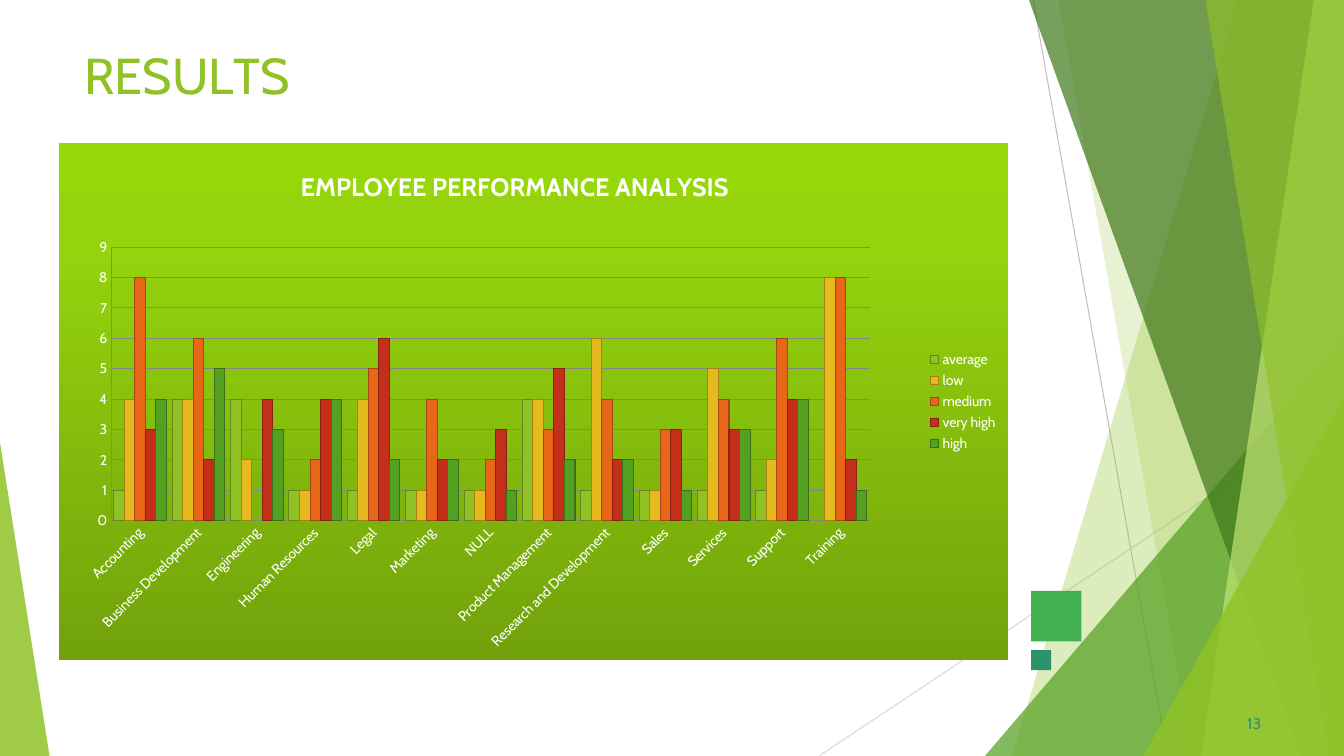
from dataclasses import dataclass

from lxml.etree import SubElement
from pptx import Presentation
from pptx.chart.data import CategoryChartData
from pptx.dml.color import RGBColor
from pptx.enum.chart import XL_CHART_TYPE, XL_LEGEND_POSITION, XL_TICK_MARK
from pptx.enum.shapes import MSO_CONNECTOR, MSO_SHAPE
from pptx.oxml import parse_xml
from pptx.oxml.ns import nsdecls, qn
from pptx.util import Inches, Pt

COLUMNS, ROWS = 160, 90
CELL = Inches(1) / 12
FONT = "Cabin"
COLORS = {
    "lime": "90C226", "green": "54A021", "forest": "3F7819", "pale": "C0E474",
    "gold": "E6B91E", "orange": "E76618", "red": "C42F1A",
    "emerald": "42AF51", "teal": "2D936B", "white": "FFFFFF",
    "line": "BFBFBF", "faint line": "D9D9D9", "grid": "868686",
    "chart bottom": "72A20B", "chart upper": "94D30E", "chart top": "96D70A",
}


@dataclass
class Line:
    start: tuple[float, float]
    end: tuple[float, float]
    color: str


@dataclass
class Band:
    top_left: float
    bottom_left: float
    color: str
    opacity: int


@dataclass
class Block:
    kind: MSO_SHAPE
    box: tuple[float, float, float, float]
    color: str
    opacity: int = 100
    apex: float | None = None


@dataclass
class Series:
    name: str
    color: str
    order: int
    values: tuple[int | None, ...]


TRIANGLE, RECTANGLE = MSO_SHAPE.ISOSCELES_TRIANGLE, MSO_SHAPE.RECTANGLE
DECORATIONS = (
    Line((123, 0), (139, 90), "line"),
    Line((160, 48.4), (97.5, 90), "faint line"),
    Band(147.4, 120.5, "lime", 30),
    Band(126, 142, "lime", 20),
    Block(TRIANGLE, (117.25, 40, 42.75, 50), "green", 72, 1),
    Band(122.5, 154.9, "forest", 70),
    Band(156.4, 143, "pale", 70),
    Band(143.5, 158.2, "lime", 65),
    Block(TRIANGLE, (136.1, 47.2, 23.9, 42.8), "lime", 80, 1),
    Block(TRIANGLE, (0, 52.7, 5.9, 37.3), "lime", 85, 0),
    Block(RECTANGLE, (122.75, 70.35, 6, 6), "emerald"),
    Block(RECTANGLE, (122.75, 77.4, 2.4, 2.4), "teal"),
)
DEPARTMENTS = (
    "Accounting", "Business Development", "Engineering", "Human Resources",
    "Legal", "Marketing", "NULL", "Product Management",
    "Research and Development", "Sales", "Services", "Support", "Training",
)
RATINGS = (
    Series("average", "lime", 0, (1, 4, 4, 1, 1, 1, 1, 4, 1, 1, 1, 1, None)),
    Series("low", "gold", 2, (4, 4, 2, 1, 4, 1, 1, 4, 6, 1, 5, 2, 8)),
    Series("medium", "orange", 3, (8, 6, None, 2, 5, 4, 2, 3, 4, 3, 4, 6, 8)),
    Series("very high", "red", 4, (3, 2, 4, 4, 6, 2, 3, 5, 2, 3, 3, 4, 2)),
    Series("high", "green", 1, (4, 5, 3, 4, 2, 2, 1, 2, 2, 1, 3, 4, 1)),
)


def cells(*counts: float) -> list[int]:
    return [round(count * CELL) for count in counts]


def color(name: str) -> RGBColor:
    return RGBColor.from_string(COLORS[name])


def paint(shape, name: str, opacity: int) -> None:
    shape.shadow.inherit = False
    shape.fill.solid()
    shape.fill.fore_color.rgb = color(name)
    shape.line.fill.background()
    if opacity < 100:
        value = shape.fill._xPr.find(f".//{qn('a:srgbClr')}")
        SubElement(value, qn("a:alpha")).set("val", str(opacity * 1000))


def draw_line(slide, line: Line) -> None:
    connector = slide.shapes.add_connector(
        MSO_CONNECTOR.STRAIGHT, *cells(*line.start, *line.end))
    connector.line.color.rgb = color(line.color)
    connector.line.width = Pt(0.75)
    SubElement(connector._element.spPr, qn("a:effectLst"))


def draw_band(slide, band: Band) -> None:
    builder = slide.shapes.build_freeform(*cells(band.top_left, 0), scale=1.0)
    corners = ((COLUMNS, 0), (COLUMNS, ROWS), (band.bottom_left, ROWS))
    builder.add_line_segments([cells(*corner) for corner in corners], close=True)
    paint(builder.convert_to_shape(), band.color, band.opacity)


def draw_block(slide, block: Block) -> None:
    shape = slide.shapes.add_shape(block.kind, *cells(*block.box))
    if block.apex is not None:
        shape.adjustments[0] = block.apex
    paint(shape, block.color, block.opacity)


def add_text(slide, box: tuple, pieces: tuple, size: float, name: str,
             indent: float, space: float) -> None:
    text_frame = slide.shapes.add_textbox(*cells(*box)).text_frame
    text_frame.word_wrap = True
    text_frame.margin_left = text_frame.margin_right = text_frame.margin_bottom = 0
    text_frame.margin_top = Inches(0.01)
    paragraph = text_frame.paragraphs[0]
    paragraph.space_before = Pt(space)
    paragraph._p.get_or_add_pPr().set("marL", str(Inches(indent)))
    for text, spacing in pieces:
        run = paragraph.add_run()
        run.text = text
        run.font.name = FONT
        run.font.size = Pt(size)
        run.font.color.rgb = color(name)
        run._r.get_or_add_rPr().set("spc", str(round(spacing * 100)))


def set_layout(element, inner: bool = False, **shares: float) -> None:
    for previous in element.findall(qn("c:layout")):
        element.remove(previous)
    target = '<c:layoutTarget val="inner"/>' if inner else ""
    modes = "".join(f'<c:{axis}Mode val="edge"/>' for axis in "xy")
    values = "".join(f'<c:{key} val="{share}"/>' for key, share in shares.items())
    layout = parse_xml(f'<c:layout {nsdecls("c")}><c:manualLayout>{target}{modes}'
                       f'{values}</c:manualLayout></c:layout>')
    before = element.find(qn("c:legendPos"))
    if before is None:
        before = element.find(qn("c:tx"))
    if before is None:
        element.insert(0, layout)
    else:
        before.addnext(layout)


def fill_chart(chart) -> None:
    stops = ((0, "chart bottom"), (80, "chart upper"), (100, "chart top"))
    gradient = "".join(f'<a:gs pos="{share * 1000}"><a:srgbClr val="{COLORS[name]}"/></a:gs>'
                       for share, name in stops)
    chart._chartSpace.find(qn("c:chart")).addnext(parse_xml(
        f'<c:spPr {nsdecls("c", "a")}><a:gradFill><a:gsLst>{gradient}</a:gsLst>'
        '<a:lin ang="16200000" scaled="0"/></a:gradFill><a:ln><a:noFill/></a:ln></c:spPr>'))


def add_performance_chart(slide) -> None:
    data = CategoryChartData()
    data.categories = DEPARTMENTS
    for rating in RATINGS:
        data.add_series(rating.name, rating.values)
    chart = slide.shapes.add_chart(
        XL_CHART_TYPE.COLUMN_CLUSTERED, *cells(7, 17, 113.05, 61.6), data).chart
    chart.font.name = FONT
    chart.font.size = Pt(10)
    chart.font.color.rgb = color("white")
    fill_chart(chart)

    chart.has_title = True
    title = chart.chart_title
    title.include_in_layout = False
    title.text_frame.text = "EMPLOYEE PERFORMANCE ANALYSIS"
    font = title.text_frame.paragraphs[0].runs[0].font
    font.name, font.size, font.bold = FONT, Pt(18), True
    font.color.rgb = color("white")
    set_layout(title._element, x=0.25, y=0.043)

    chart.has_legend = True
    chart.legend.position = XL_LEGEND_POSITION.RIGHT
    chart.legend.include_in_layout = False
    set_layout(chart.legend._element, x=0.912, y=0.395, w=0.08, h=0.21)
    set_layout(chart._chartSpace.chart.plotArea, True, x=0.055, y=0.202, w=0.799, h=0.528)

    plot = chart.plots[0]
    plot.gap_width, plot.overlap, plot.vary_by_categories = 55, 0, False
    for series, rating in zip(list(plot.series), RATINGS):
        series.format.fill.solid()
        series.format.fill.fore_color.rgb = color(rating.color)
        series.format.line.color.rgb = color(rating.color)
        series.format.line.color.brightness = -0.3
        series.format.line.width = Pt(0.75)
        series._element.find(qn("c:order")).set("val", str(rating.order))

    values, categories = chart.value_axis, chart.category_axis
    values.minimum_scale, values.maximum_scale, values.major_unit = 0, 9, 1
    values.has_major_gridlines = True
    for axis in (values, categories):
        axis.major_tick_mark = axis.minor_tick_mark = XL_TICK_MARK.NONE
    for part in (values.major_gridlines, values, categories):
        part.format.line.color.rgb = color("grid")
        part.format.line.width = Pt(0.75)
    categories.tick_labels.font.size = Pt(10)
    categories._element.find(f"{qn('c:txPr')}/{qn('a:bodyPr')}").set("rot", "-2700000")


def main() -> None:
    presentation = Presentation()
    presentation.slide_width, presentation.slide_height = cells(COLUMNS, ROWS)
    slide = presentation.slides.add_slide(presentation.slide_layouts[6])
    painters = {Line: draw_line, Band: draw_band, Block: draw_block}
    for decoration in DECORATIONS:
        painters[type(decoration)](slide, decoration)
    title = (("R", 0), ("E", -0.4), ("S", 0.1), ("U", -0.3), ("L", -4), ("TS", 0))
    add_text(slide, (9.9, 5.1, 32, 10), title, 36, "lime", 0.01, 1.1)
    add_text(slide, (148, 84.9, 3, 2.5), (("13", 0.1),), 11, "teal", 0.04, 0.6)
    add_performance_chart(slide)
    presentation.save("out.pptx")


if __name__ == "__main__":
    main()
